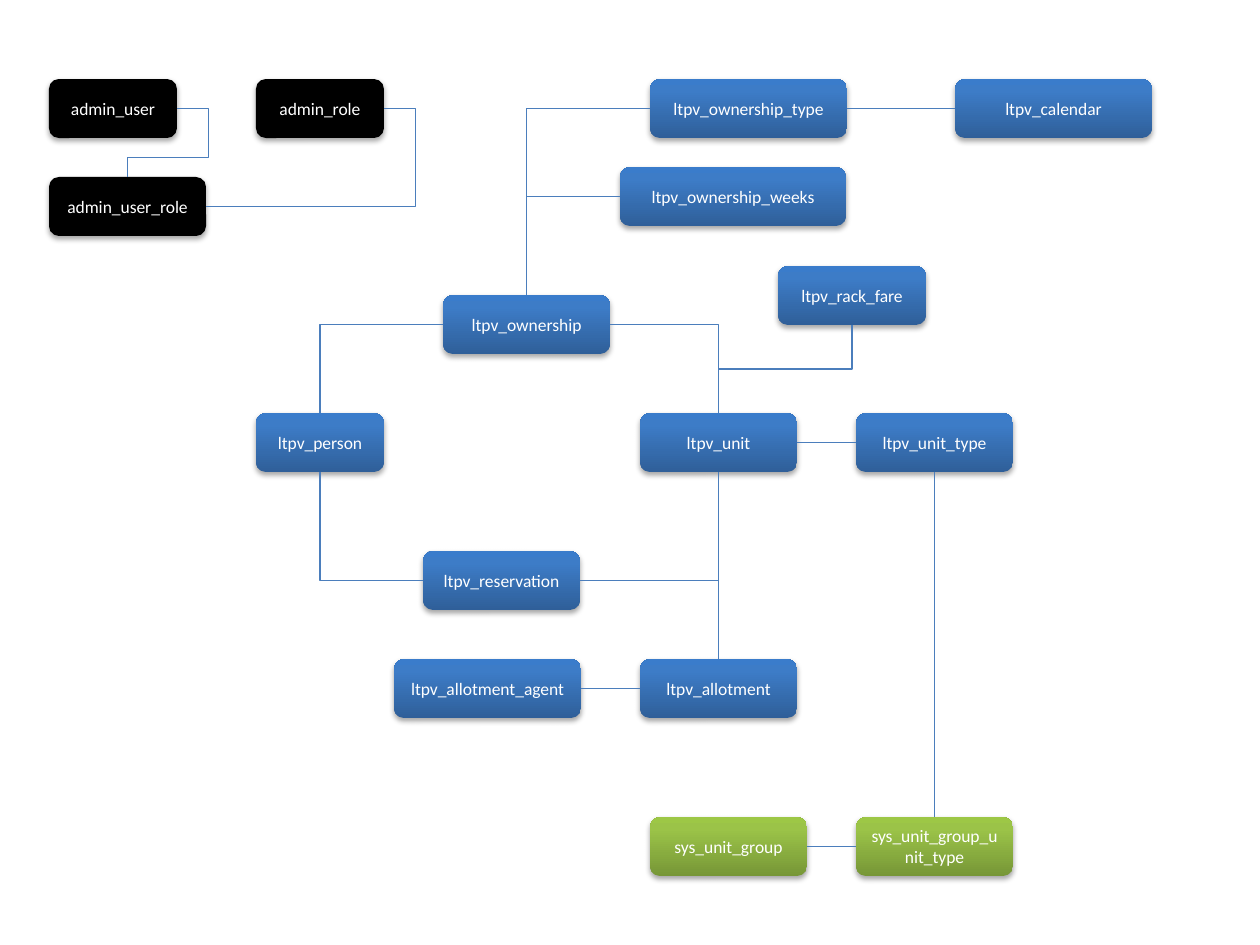
from copy import deepcopy

from lxml import etree
from pptx import Presentation
from pptx.dml.color import RGBColor
from pptx.enum.shapes import MSO_CONNECTOR, MSO_SHAPE
from pptx.enum.text import MSO_ANCHOR, PP_ALIGN
from pptx.oxml.ns import qn
from pptx.util import Emu, Pt

ROUNDED = MSO_SHAPE.ROUNDED_RECTANGLE
ELBOW, STRAIGHT = MSO_CONNECTOR.ELBOW, MSO_CONNECTOR.STRAIGHT
CENTER, MIDDLE = PP_ALIGN.CENTER, MSO_ANCHOR.MIDDLE
TOP, LEFT, BOTTOM, RIGHT = range(4)
EMU_PER_PX = 914400 / 126
TABLE_HEIGHT = 59
COLORS = {"text": "FFFFFF", "line": "4B7EBC", "shadow": "000000"}
FILLS = {
    "admin": ["000000"],
    "booking": ["2F5F99", "3D7CC7", "3A7CCB"],
    "system": ["779737", "9BC348", "9DC746"],
}
STOPS = [0, 0.8, 1]

ADMIN_TABLES = [
    ("admin_user", 0, 0, 128),
    ("admin_role", 207, 0, 128),
    ("admin_user_role", 0, 98, 157),
]
BOOKING_TABLES = [
    ("ltpv_person", 0, 334, 128),
    ("ltpv_ownership", 187, 216, 167),
    ("ltpv_reservation", 167, 472, 157),
    ("ltpv_unit", 384, 334, 157),
    ("ltpv_unit_type", 600, 334, 157),
    ("ltpv_allotment", 384, 580, 157),
    ("ltpv_ownership_weeks", 364, 88, 226),
    ("ltpv_rack_fare", 522, 187, 148),
    ("ltpv_ownership_type", 394, 0, 197),
    ("ltpv_calendar", 699, 0, 197),
    ("ltpv_allotment_agent", 138, 580, 187),
]
SYSTEM_TABLES = [
    ("sys_unit_group", 0, 0, 157),
    ("sys_unit_group_unit_type", 206, 0, 157),
]
STRAIGHT_LINKS = [
    ("ltpv_unit", RIGHT, "ltpv_unit_type", LEFT),
    ("ltpv_unit", BOTTOM, "ltpv_allotment", TOP),
    ("ltpv_unit_type", BOTTOM, "sys_unit_group_unit_type", TOP),
    ("sys_unit_group", RIGHT, "sys_unit_group_unit_type", LEFT),
    ("ltpv_ownership_type", RIGHT, "ltpv_calendar", LEFT),
    ("ltpv_allotment_agent", RIGHT, "ltpv_allotment", LEFT),
]
CORNER_LINKS = [
    ("ltpv_ownership", LEFT, "ltpv_person", TOP),
    ("ltpv_ownership", RIGHT, "ltpv_unit", TOP),
    ("ltpv_reservation", RIGHT, "ltpv_unit", BOTTOM),
    ("ltpv_reservation", LEFT, "ltpv_person", BOTTOM),
    ("ltpv_ownership_weeks", LEFT, "ltpv_ownership", TOP),
    ("ltpv_ownership_type", LEFT, "ltpv_ownership", TOP),
]


def px(length):
    """Turn pixels into EMU."""
    return Emu(round(length * EMU_PER_PX))


def paint(box, colors):
    """Fill a box with one colour or with an upward gradient."""
    if len(colors) == 1:
        box.fill.solid()
        box.fill.fore_color.rgb = RGBColor.from_string(colors[0])
        return
    box.fill.gradient()
    box.fill.gradient_angle = 90
    stop_list = box.element.spPr.find(".//" + qn("a:gsLst"))
    stop_list.append(deepcopy(stop_list[-1]))
    for stop, position, color in zip(box.fill.gradient_stops, STOPS, colors):
        stop.position = position
        stop.color.rgb = RGBColor.from_string(color)


def add_shadow(box):
    """Give a box a soft shadow below it."""
    box.shadow.inherit = False
    effects = box.element.spPr.find(qn("a:effectLst"))
    shadow = etree.SubElement(effects, qn("a:outerShdw"), blurRad="40000",
                              dist="23000", dir="5400000", rotWithShape="0")
    color = etree.SubElement(shadow, qn("a:srgbClr"), val=COLORS["shadow"])
    etree.SubElement(color, qn("a:alpha"), val="35000")


def add_tables(page, left, top, colors, tables):
    """Place a group of table boxes from a corner and return them by name."""
    boxes = {}
    for name, x, y, width in tables:
        box = page.shapes.add_shape(ROUNDED, px(left + x), px(top + y),
                                    px(width), px(TABLE_HEIGHT))
        paint(box, colors)
        box.line.fill.background()
        add_shadow(box)
        frame = box.text_frame
        frame.word_wrap = True
        frame.vertical_anchor = MIDDLE
        para = frame.paragraphs[0]
        para.text = name
        para.alignment = CENTER
        para.font.name = "Calibri"
        para.font.size = Pt(10)
        para.font.color.rgb = RGBColor.from_string(COLORS["text"])
        boxes[name] = box
    return boxes


def add_link(page, boxes, ends, preset=None, adjust=()):
    """Join two table boxes, with an elbow preset and its bends if given."""
    start, start_side, end, end_side = ends
    link = page.shapes.add_connector(ELBOW if preset else STRAIGHT, 0, 0, 0, 0)
    link.begin_connect(boxes[start], start_side)
    link.end_connect(boxes[end], end_side)
    link.line.color.rgb = RGBColor.from_string(COLORS["line"])
    link.line.width = Pt(0.75)
    properties = link.element.spPr
    etree.SubElement(properties, qn("a:effectLst"))
    if preset:
        geometry = properties.find(qn("a:prstGeom"))
        geometry.set("prst", preset)
        guides = geometry.find(qn("a:avLst"))
        for number, value in enumerate(adjust, 1):
            etree.SubElement(guides, qn("a:gd"), name=f"adj{number}",
                             fmla=f"val {value}")
    return link


def turn_down(link):
    """Turn an elbow a quarter so that it leaves downward and bends left."""
    left, top, width, height = link.left, link.top, link.width, link.height
    link.left = left + (width - height) // 2
    link.top = top + (height - width) // 2
    link.width, link.height = height, width
    frame = link.element.spPr.find(qn("a:xfrm"))
    frame.attrib.pop("flipH", None)
    frame.set("rot", "5400000")


def add_links(page, boxes):
    """Draw every relation between the tables."""
    for ends in STRAIGHT_LINKS:
        add_link(page, boxes, ends)
    for ends in CORNER_LINKS:
        add_link(page, boxes, ends, "bentConnector2")
    add_link(page, boxes, ("admin_user", RIGHT, "admin_user_role", TOP),
             "bentConnector4", (-64000, 71400))
    add_link(page, boxes, ("admin_user_role", RIGHT, "admin_role", RIGHT),
             "bentConnector3", (117800,))
    turn_down(add_link(page, boxes, ("ltpv_rack_fare", BOTTOM, "ltpv_unit", TOP),
                       "bentConnector3", (50000,)))


def main():
    """Build the table diagram and save it."""
    deck = Presentation()
    deck.slide_width, deck.slide_height = px(1260), px(945)
    page = deck.slides.add_slide(deck.slide_layouts[6])
    boxes = {
        **add_tables(page, 49, 79, FILLS["admin"], ADMIN_TABLES),
        **add_tables(page, 256, 79, FILLS["booking"], BOOKING_TABLES),
        **add_tables(page, 650, 817, FILLS["system"], SYSTEM_TABLES),
    }
    add_links(page, boxes)
    deck.save("out.pptx")


if __name__ == "__main__":
    main()
